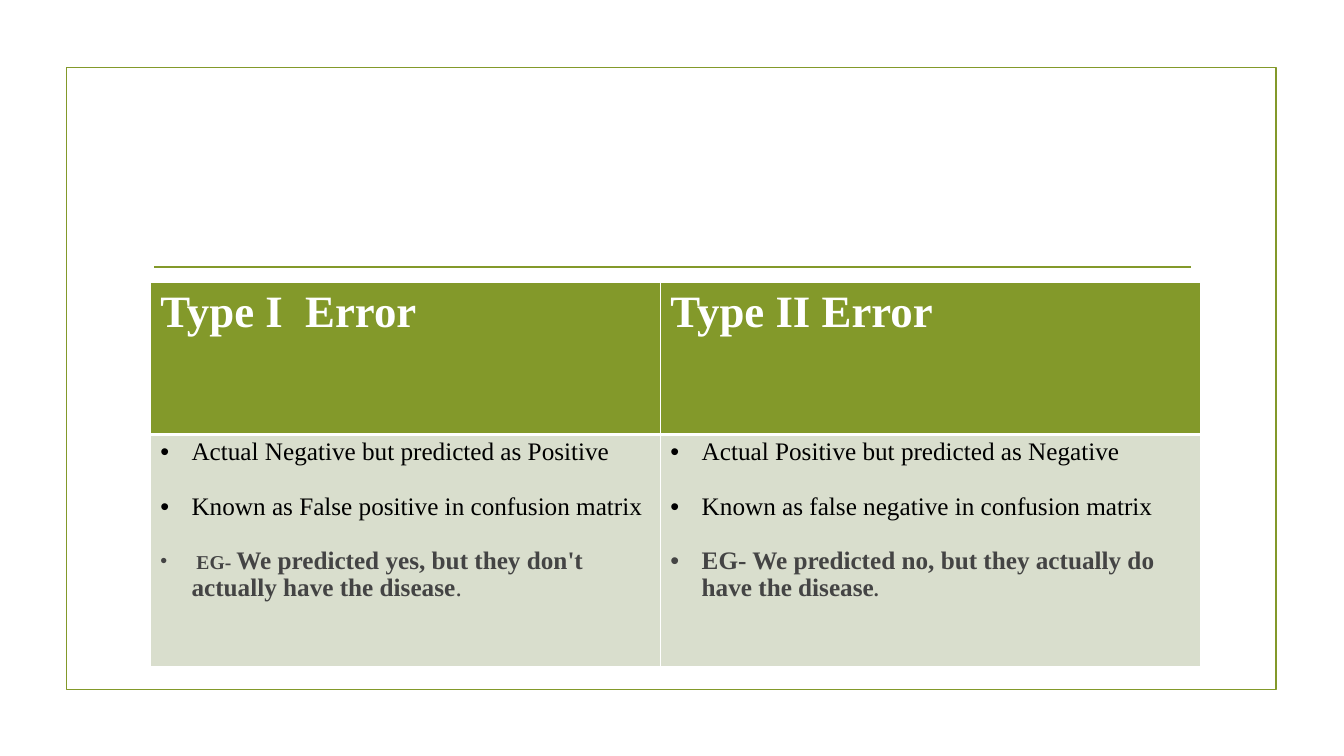
from lxml import etree
from pptx import Presentation
from pptx.dml.color import RGBColor
from pptx.enum import shapes
from pptx.oxml import ns
from pptx.util import Inches, Pt

OLIVE, SAGE, WHITE, BLACK, GREY = "83992A", "D9DECD", "FFFFFF", "000000", "444444"

ERRORS = [
    ("Type I  Error", [
        [("Actual Negative but predicted as Positive", {})],
        [("Known as False positive in confusion matrix", {})],
        [(" EG- ", dict(size=14, color=GREY, bold=True)),
         ("We predicted yes, but they don't actually have the disease",
          dict(color=GREY, bold=True)),
         (".", dict(color=GREY))],
    ]),
    ("Type II Error", [
        [("Actual Positive but predicted as Negative", {})],
        [("Known as false negative in confusion matrix", {})],
        [("EG- We predicted no, but they actually do have the disease",
          dict(color=GREY, bold=True)),
         (".", dict(size=14, color=GREY, bold=True))],
    ]),
]


def rgb(value):
    return RGBColor.from_string(value)


def add_text(paragraph, wording, size=18, color=BLACK, bold=False):
    run = paragraph.add_run()
    run.text = wording
    run.font.name = "Times New Roman"
    run.font.size = Pt(size)
    run.font.bold = bold
    run.font.color.rgb = rgb(color)


def add_bullet(paragraph):
    properties = paragraph._p.get_or_add_pPr()
    properties.set("marL", str(Inches(0.31)))
    properties.set("indent", str(-Inches(0.31)))
    etree.SubElement(properties, ns.qn("a:buFont")).set("typeface", "Arial")
    etree.SubElement(properties, ns.qn("a:buChar")).set("char", "•")


def style_cell(cell, fill, bottom=1):
    properties = cell._tc.get_or_add_tcPr()
    for side, width in (("L", 1), ("R", 1), ("T", 1), ("B", bottom)):
        border = etree.SubElement(properties, ns.qn(f"a:ln{side}"), w=str(Pt(width)))
        solid = etree.SubElement(border, ns.qn("a:solidFill"))
        etree.SubElement(solid, ns.qn("a:srgbClr"), val=WHITE)
    cell.fill.solid()
    cell.fill.fore_color.rgb = rgb(fill)


def draw_frame(slide, left, top, width, height):
    frame = slide.shapes.add_shape(
        shapes.MSO_SHAPE.RECTANGLE,
        Inches(left), Inches(top), Inches(width), Inches(height))
    frame.shadow.inherit = False
    frame.fill.background()
    rule = slide.shapes.add_connector(
        shapes.MSO_CONNECTOR.STRAIGHT,
        Inches(left + 0.87), Inches(top + 1.98),
        Inches(left + width - 0.85), Inches(top + 1.98))
    etree.SubElement(rule._element.spPr, ns.qn("a:effectLst"))
    for outlined in (frame, rule):
        outlined.line.color.rgb = rgb(OLIVE)
        outlined.line.width = Pt(1.25)


def draw_comparison(slide, left, top, widths, heights):
    comparison = slide.shapes.add_table(
        len(heights), len(widths), Inches(left), Inches(top),
        Inches(sum(widths)), Inches(sum(heights))).table
    for row, height in zip(comparison.rows, heights):
        row.height = Inches(height)
    for index, (heading, points) in enumerate(ERRORS):
        comparison.columns[index].width = Inches(widths[index])
        header, body = comparison.cell(0, index), comparison.cell(1, index)
        style_cell(header, OLIVE, bottom=3)
        style_cell(body, SAGE)
        add_text(header.text_frame.paragraphs[0], heading,
                 size=32, color=WHITE, bold=True)
        for number, point in enumerate(points):
            frame = body.text_frame
            paragraph = frame.add_paragraph() if number else frame.paragraphs[0]
            paragraph.line_spacing = 0.95
            if number < len(points) - 1:
                paragraph.space_after = Pt(20)
            add_bullet(paragraph)
            for wording, style in point:
                add_text(paragraph, wording, **style)


def main():
    deck = Presentation()
    deck.slide_width, deck.slide_height = Inches(13.33), Inches(7.5)
    slide = deck.slides.add_slide(deck.slide_layouts[6])
    draw_frame(slide, 0.66, 0.67, 12, 6.17)
    draw_comparison(slide, 1.49, 2.8, (5.06, 5.36), (1.51, 2.3))
    deck.save("out.pptx")


if __name__ == "__main__":
    main()
